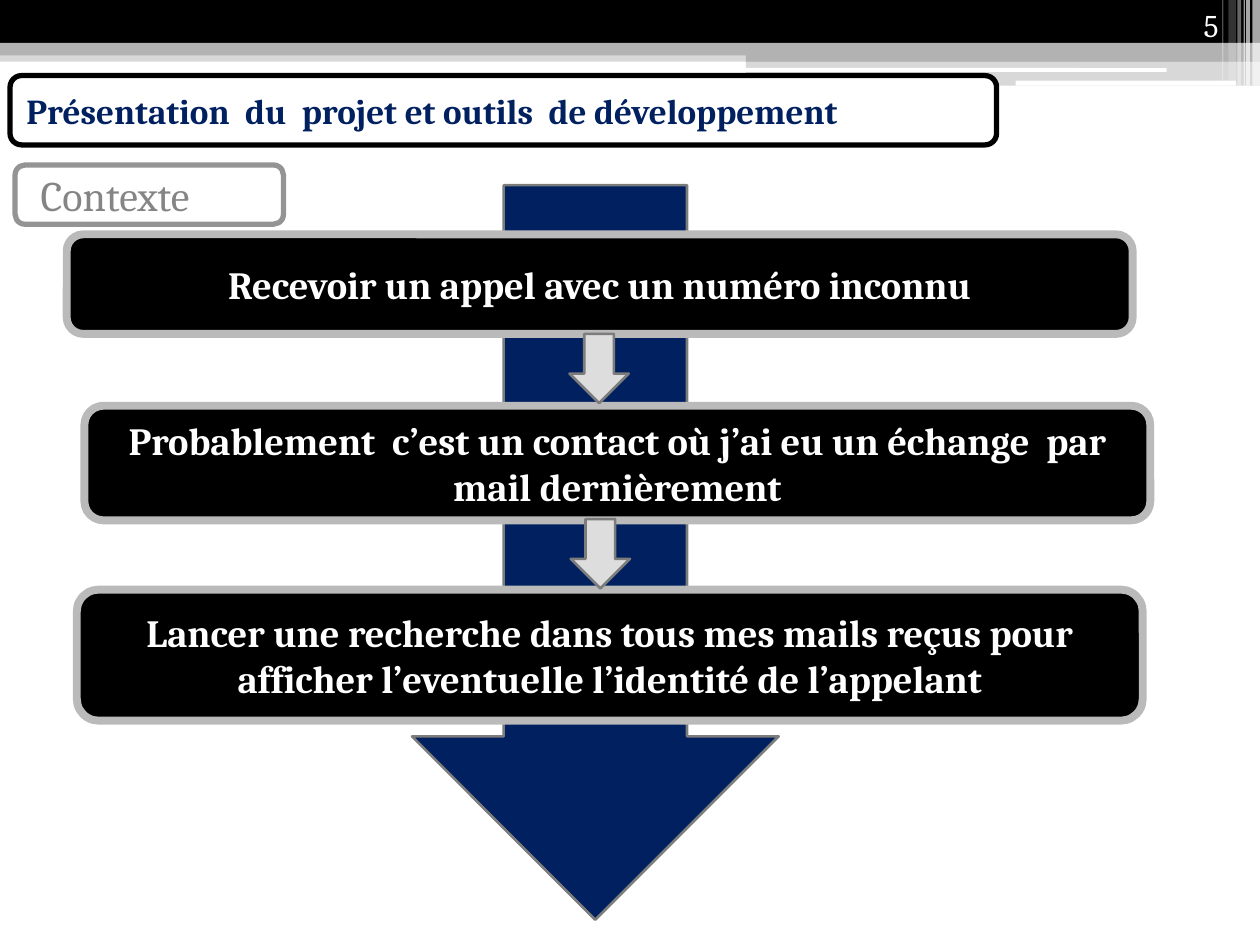
from dataclasses import dataclass

from lxml import etree
from pptx import Presentation
from pptx.dml.color import RGBColor
from pptx.enum.shapes import MSO_SHAPE
from pptx.enum.text import MSO_ANCHOR, MSO_AUTO_SIZE, PP_ALIGN
from pptx.oxml.ns import qn
from pptx.util import Inches, Pt

RECTANGLE = MSO_SHAPE.RECTANGLE
ROUNDED = MSO_SHAPE.ROUNDED_RECTANGLE
DOWN_ARROW = MSO_SHAPE.DOWN_ARROW
MIDDLE, BOTTOM = MSO_ANCHOR.MIDDLE, MSO_ANCHOR.BOTTOM
LEFT, CENTER, RIGHT = PP_ALIGN.LEFT, PP_ALIGN.CENTER, PP_ALIGN.RIGHT
NO_AUTOFIT = MSO_AUTO_SIZE.NONE
TITLE_ONLY = 5
COLUMNS, ROWS = 100, 75


@dataclass(frozen=True)
class Theme:
    font: str = "Cambria"
    black: str = "000000"
    white: str = "FFFFFF"
    navy: str = "002060"
    band: str = "B2B2B2"
    step_border: str = "BABABA"
    arrow_fill: str = "DDDDDD"
    arrow_border: str = "7C7C7C"
    section_border: str = "949494"
    section_text: str = "858585"
    number_size: int = 18
    title_size: int = 20
    step_size: int = 22
    section_size: int = 24
    arrow_line: float = 1.5
    frame_line: float = 3
    step_line: float = 4.5


class SlideBuilder:
    def __init__(self, presentation, theme):
        self.theme = theme
        self.column = presentation.slide_width / COLUMNS
        self.row = presentation.slide_height / ROWS
        layout = presentation.slide_layouts[TITLE_ONLY]
        self.slide = presentation.slides.add_slide(layout)

    def place(self, left, top, width, height):
        return (round(left * self.column), round(top * self.row),
                round(width * self.column), round(height * self.row))

    def shape(self, kind, area, fill, border=None, line_width=0, opacity=100):
        shape = self.slide.shapes.add_shape(kind, *self.place(*area))
        shape.shadow.inherit = False
        shape.fill.solid()
        shape.fill.fore_color.rgb = RGBColor.from_string(fill)
        if opacity < 100:
            color = shape._element.spPr.find(qn("a:solidFill"))[0]
            etree.SubElement(color, qn("a:alpha"), val=str(opacity * 1000))
        if border:
            shape.line.color.rgb = RGBColor.from_string(border)
            shape.line.width = Pt(line_width)
        else:
            shape.line.fill.background()
        return shape

    def label(self, shape, text, size, color, align=LEFT, anchor=MIDDLE,
              bold=False, indent=0.1):
        frame = shape.text_frame
        frame.text = text
        frame.word_wrap = True
        frame.auto_size = NO_AUTOFIT
        frame.vertical_anchor = anchor
        frame.margin_left = Inches(indent)
        for paragraph in frame.paragraphs:
            paragraph.alignment = align
            for run in paragraph.runs:
                run.font.name = self.theme.font
                run.font.size = Pt(size)
                run.font.bold = bold
                run.font.color.rgb = RGBColor.from_string(color)

    def arrow(self, area, fill):
        self.shape(DOWN_ARROW, area, fill, self.theme.arrow_border,
                   self.theme.arrow_line)

    def step(self, area, text):
        theme = self.theme
        box = self.shape(ROUNDED, area, theme.black, theme.step_border,
                         theme.step_line)
        self.label(box, text, theme.step_size, theme.white, CENTER, bold=True)

    def title(self, area, text):
        theme = self.theme
        self.shape(ROUNDED, area, theme.white, theme.black, theme.frame_line)
        title = self.slide.shapes.title
        title.left, title.top, title.width, title.height = self.place(*area)
        self.label(title, text, theme.title_size, theme.navy, bold=True,
                   indent=0.13)
        self.slide.shapes._spTree.append(title._element)

    def section(self, area, text):
        theme = self.theme
        box = self.shape(ROUNDED, area, theme.white, theme.section_border,
                         theme.frame_line)
        self.label(box, text, theme.section_size, theme.section_text,
                   indent=0.18)

    def number(self, area, text):
        box = self.slide.shapes.add_textbox(*self.place(*area))
        self.label(box, text, self.theme.number_size, self.theme.white, RIGHT,
                   BOTTOM)

    def header(self):
        theme = self.theme
        bands = [
            ((0, 4, 100, 0.9), theme.band, 50),
            ((0, 0, 100, 3.4), theme.black, 100),
            ((0, 3.4, 100, 1), theme.band, 100),
            ((59.2, 3.9, 40.8, 1), theme.band, 100),
            ((59.2, 4.8, 40.8, 2), theme.band, 50),
        ]
        for area, color, opacity in bands:
            self.shape(RECTANGLE, area, color, opacity=opacity)
        for area in [(59.1, 5.4, 33.5, 0.3), (80.6, 6.4, 17.5, 0.4)]:
            self.shape(ROUNDED, area, theme.white)
        stripes = [
            (99.4, 0.6, 6.8, 65), (98.9, 0.3, 6.8, 65), (98.7, 0.1, 6.8, 60),
            (98.2, 0.3, 6.8, 40), (97.5, 0.6, 6.4, 20), (97, 0.1, 6.4, 30),
        ]
        for left, width, height, opacity in stripes:
            self.shape(RECTANGLE, (left, 0, width, height), theme.white,
                       opacity=opacity)


def main():
    presentation = Presentation()
    presentation.slide_width = Inches(10)
    presentation.slide_height = Inches(7.5)
    theme = Theme()
    builder = SlideBuilder(presentation, theme)

    builder.header()
    builder.number((89.4, 0, 8.3, 4), "5")
    builder.arrow((32.7, 14.7, 29.1, 58.3), theme.navy)
    steps = [
        (5.3, 18.6, 7.9, "Recevoir un appel avec un numéro inconnu"),
        (6.7, 32.2, 9.1, "Probablement  c’est un contact où j’ai eu un "
                         "échange  par mail dernièrement"),
        (6.1, 46.8, 10.4, "Lancer une recherche dans tous mes mails reçus "
                          "pour afficher l’eventuelle l’identité de l’appelant"),
    ]
    for left, top, height, text in steps:
        builder.step((left, top, 84.6, height), text)
    for left, top in [(45.2, 26.5), (45.3, 41.2)]:
        builder.arrow((left, top, 4.7, 5.5), theme.arrow_fill)
    builder.title((0.8, 6, 78.3, 5.5),
                  "Présentation  du  projet et outils  de développement")
    builder.section((1.2, 13.1, 21.3, 4.7), "Contexte")

    presentation.save("out.pptx")


if __name__ == "__main__":
    main()
